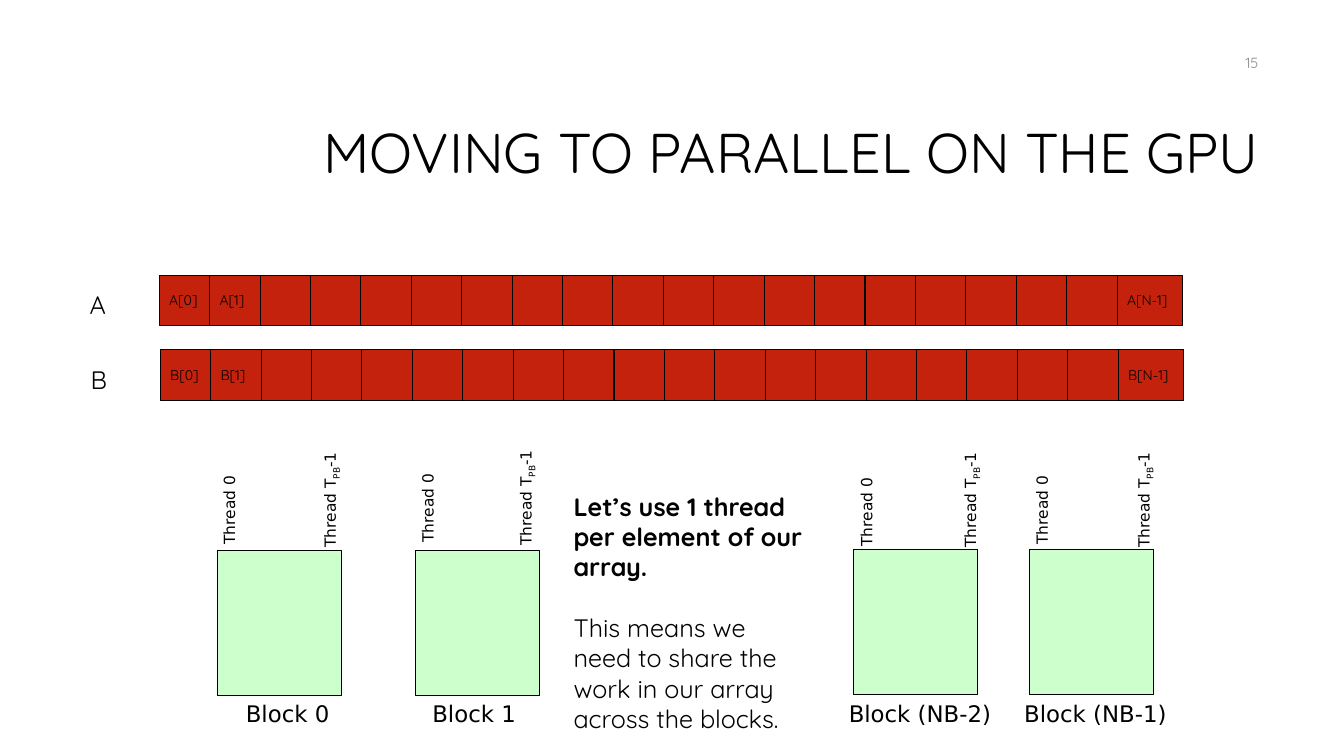
from pptx import Presentation
from pptx.dml.color import RGBColor
from pptx.enum.shapes import MSO_SHAPE
from pptx.enum.text import MSO_ANCHOR, PP_ALIGN
from pptx.util import Inches, Pt

COLORS = {"black": "000000", "gray": "8C8C8C", "red": "C4220D", "green": "CCFFCC"}
BODY_FONT = "Quicksand"
LABEL_FONT = "DejaVu Sans"
CELL = 0.5
LAST_CELL = 0.65
CELL_COUNT = 20

ARRAYS = [("A", 1.58, 2.73, 0.79, 2.82), ("B", 1.59, 3.47, 0.8, 3.57)]

BLOCKS = [
    ("Block 0", 2.16, 5.46, 2.34, 1.13, (1.81, 4.89), (2.63, 4.74)),
    ("Block 1", 4.12, 5.46, 4.19, 1.13, (3.78, 4.87), (4.57, 4.72)),
    ("Block (NB-2)", 8.47, 5.45, 8.32, 1.74, (8.13, 4.91), (8.98, 4.74)),
    ("Block (NB-1)", 10.21, 5.45, 10.06, 1.74, (9.87, 4.89), (10.7, 4.74)),
]


def rgb(name):
    return RGBColor.from_string(COLORS[name])


def add_run(p, text, size, font=BODY_FONT, color="black", bold=False):
    r = p.add_run()
    r.text = text
    r.font.size = Pt(size)
    r.font.name = font
    r.font.bold = bold
    r.font.color.rgb = rgb(color)
    return r


def add_text_box(s, x, y, w, h, anchor=MSO_ANCHOR.TOP, align=PP_ALIGN.LEFT):
    box = s.shapes.add_textbox(Inches(x), Inches(y), Inches(w), Inches(h))
    tf = box.text_frame
    tf.word_wrap = True
    tf.vertical_anchor = anchor
    tf.paragraphs[0].alignment = align
    return box


def add_label(s, text, x, y, w, h, size, font=BODY_FONT):
    box = add_text_box(s, x, y, w, h)
    add_run(box.text_frame.paragraphs[0], text, size, font)
    return box


def add_rect(s, x, y, w, h, fill):
    sp = s.shapes.add_shape(
        MSO_SHAPE.RECTANGLE, Inches(x), Inches(y), Inches(w), Inches(h))
    sp.shadow.inherit = False
    sp.fill.solid()
    sp.fill.fore_color.rgb = rgb(fill)
    sp.line.color.rgb = rgb("black")
    sp.line.width = Pt(0.75)
    return sp


def add_array(s, name, x, y, label_x, label_y):
    last = CELL_COUNT - 1
    indexes = {0: "0", 1: "1", last: "N-1"}
    for i in range(CELL_COUNT):
        w = LAST_CELL if i == last else CELL
        sp = add_rect(s, x + i * CELL, y, w, CELL, "red")
        if i in indexes:
            tf = sp.text_frame
            tf.word_wrap = False
            tf.vertical_anchor = MSO_ANCHOR.MIDDLE
            p = tf.paragraphs[0]
            p.alignment = PP_ALIGN.LEFT
            add_run(p, f"{name}[{indexes[i]}]", 10)
    add_label(s, name, label_x, label_y, 0.58, 0.4, 18)


def add_block(s, name, x, y, label_x, label_w, first, last):
    add_rect(s, x, y, 1.23, 1.44, "green")
    add_label(s, name, label_x, 6.89, label_w, 0.38, 16.3, LABEL_FONT)
    box = add_label(s, "Thread 0", *first, 0.93, 0.29, 11, LABEL_FONT)
    box.rotation = 270
    box = add_label(s, "Thread T", *last, 1.29, 0.29, 11, LABEL_FONT)
    box.rotation = 270
    p = box.text_frame.paragraphs[0]
    sub = add_run(p, "PB", 11, LABEL_FONT)
    sub._r.get_or_add_rPr().set("baseline", "-25000")
    add_run(p, "-1", 11, LABEL_FONT)


def add_explanation(s):
    box = add_label(s, "", 5.59, 4.82, 2.49, 2.52, 18)
    tf = box.text_frame
    p = tf.paragraphs[0]
    p.clear()
    add_run(p, "Let’s use 1 thread per element of our array.", 18, bold=True)
    p = tf.add_paragraph()
    p.space_before = Pt(22)
    add_run(p, "This means we need to share the work in our array across the blocks.", 18)


def add_header(s):
    number = add_text_box(s, 9.58, 0.42, 3, 0.4, MSO_ANCHOR.MIDDLE, PP_ALIGN.RIGHT)
    add_run(number.text_frame.paragraphs[0], "15", 10.5, color="gray")
    title = add_text_box(s, 2.31, 0.84, 10.27, 1.41, MSO_ANCHOR.MIDDLE, PP_ALIGN.RIGHT)
    p = title.text_frame.paragraphs[0]
    p.line_spacing = 0.9
    add_run(p, "MOVING TO PARALLEL ON THE GPU", 40)


def main():
    prs = Presentation()
    prs.slide_width = Inches(13.33)
    prs.slide_height = Inches(7.5)
    s = prs.slides.add_slide(prs.slide_layouts[6])
    add_header(s)
    for array in ARRAYS:
        add_array(s, *array)
    for block in BLOCKS:
        add_block(s, *block)
    add_explanation(s)
    prs.save("out.pptx")


if __name__ == "__main__":
    main()
